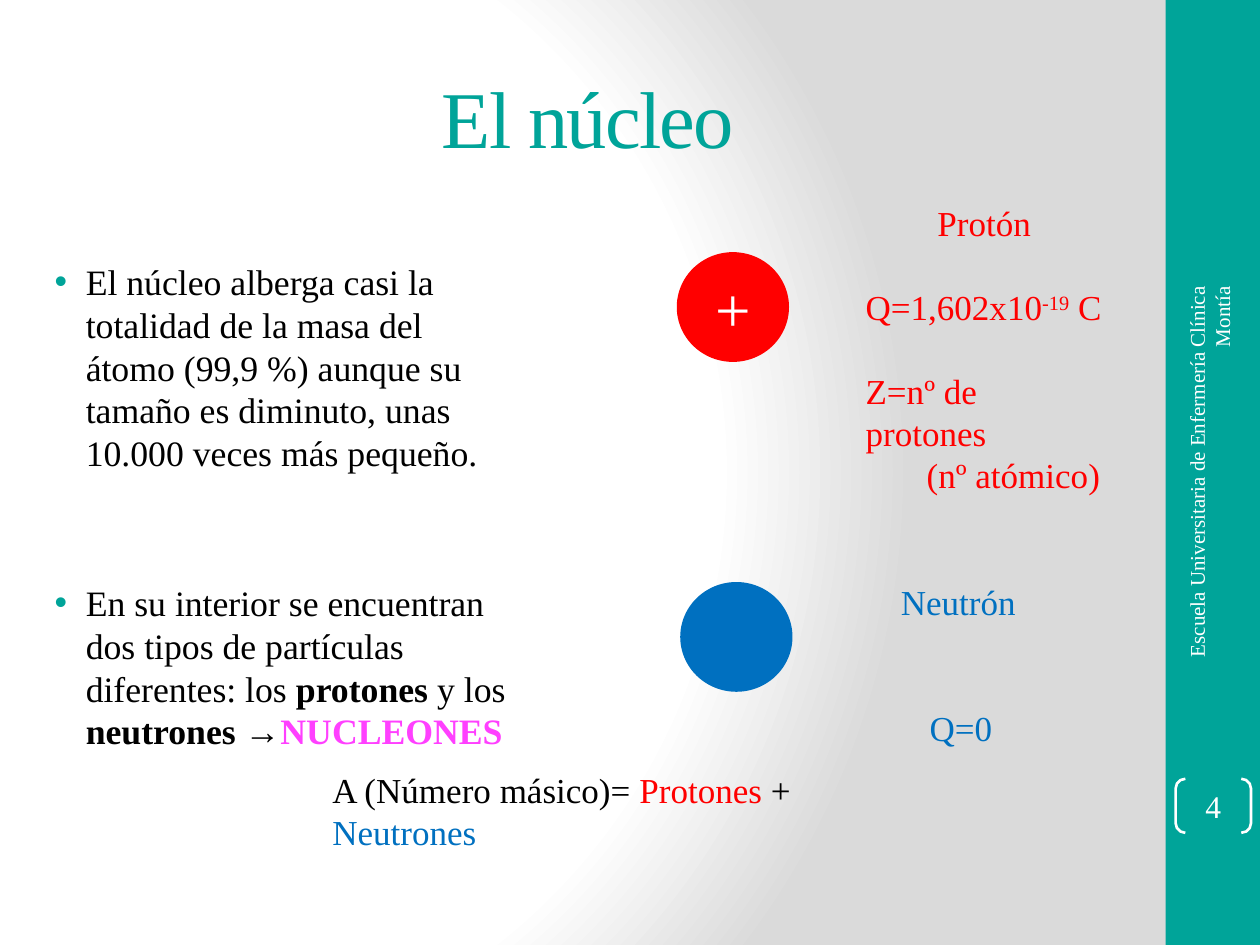
from lxml.etree import SubElement
from pptx import Presentation
from pptx.dml.color import RGBColor as RGB
from pptx.enum.shapes import MSO_SHAPE as SHAPE
from pptx.enum.text import MSO_ANCHOR as ANCHOR, PP_ALIGN as ALIGN
from pptx.oxml import parse_xml
from pptx.oxml.ns import nsdecls, qn
from pptx.util import Cm, Pt

THEME = {
    "font": "Times New Roman",
    "teal": "00A499", "red": "FF0000", "blue": "0070C0", "pink": "FF40FF",
    "black": "000000", "white": "FFFFFF", "gray": "DADADA",
    "title": 46, "body": 20.4, "label": 20, "plus": 36, "number": 18, "footer": 12,
    "line": 1.5,
}

TITLE = [{"runs": [("El núcleo", "teal")], "align": ALIGN.CENTER}]
BODY = [
    {"bullet": True, "runs": [
        ("El núcleo alberga casi la totalidad de la masa del átomo (99,9 %) "
         "aunque su tamaño es diminuto, unas 10.000 veces más pequeño.", "black")]},
    {"bullet": True, "before": 61, "runs": [
        ("En su interior se encuentran dos tipos de partículas diferentes: los ", "black"),
        ("protones", "black", "bold"),
        (" y los ", "black"),
        ("neutrones →", "black", "bold"),
        ("NUCLEONES", "pink", "bold")]},
]
PROTON = [
    {"runs": [("Protón", "red")], "align": ALIGN.CENTER},
    {"runs": [("Q=1,602x10", "red"), ("-19", "red", "super"), (" C", "red")], "before": 24},
    {"runs": [("Z=nº de protones", "red")], "before": 24},
    {"runs": [("(nº atómico)", "red")], "indent": 1.23},
]
NEUTRON = [
    {"runs": [("Neutrón", "blue")]},
    {"runs": [("Q=0", "blue")], "align": ALIGN.CENTER, "before": 48},
]
MASS = [{"runs": [("A (Número másico)= ", "black"), ("Protones", "red"),
                  (" + ", "black"), ("Neutrones", "blue")]}]
FOOTER = [{"runs": [("Escuela Universitaria de Enfermería Clínica Montía", "white")],
           "align": ALIGN.RIGHT}]
NUMBER = [{"runs": [("4", "white")], "align": ALIGN.CENTER}]
PLUS = [{"runs": [("+", "white")], "align": ALIGN.CENTER}]

TEXT_BOXES = [
    (BODY, "body", (0.53, 5.11, 10.16, 9.04)),
    (PROTON, "label", (17.2, 3.94, 5.28, 5.38)),
    (NEUTRON, "label", (17.91, 11.58, 2.92, 3.68)),
    (MASS, "label", (6.45, 15.37, 12.67, 1.12)),
]
PARTICLES = [("red", (13.67, 5.11, 2.21, 2.16), PLUS),
             ("blue", (13.74, 11.76, 2.21, 2.16), [])]


def color(name):
    return RGB.from_string(THEME[name])


def add_bullet(p):
    pPr = p._p.get_or_add_pPr()
    pPr.set("marL", str(Cm(0.95)))
    pPr.set("indent", str(Cm(-0.63)))
    SubElement(SubElement(pPr, qn("a:buClr")), qn("a:srgbClr")).set("val", THEME["teal"])
    SubElement(pPr, qn("a:buFont")).set("typeface", "Arial")
    SubElement(pPr, qn("a:buChar")).set("char", "•")


def write(tf, paragraphs, size, anchor=ANCHOR.TOP):
    tf.word_wrap = True
    tf.vertical_anchor = anchor
    for i, item in enumerate(paragraphs):
        p = tf.add_paragraph() if i else tf.paragraphs[0]
        if item.get("bullet"):
            add_bullet(p)
        if "indent" in item:
            p._p.get_or_add_pPr().set("marL", str(Cm(item["indent"])))
        p.alignment = item.get("align", ALIGN.LEFT)
        p.space_before = Pt(item.get("before", 0))
        for text, tint, *style in item["runs"]:
            r = p.add_run()
            r.text = text
            r.font.name = THEME["font"]
            r.font.size = Pt(THEME[size])
            r.font.color.rgb = color(tint)
            r.font.bold = "bold" in style
            if "super" in style:
                r._r.get_or_add_rPr().set("baseline", "30000")


def add_shape(s, kind, box, fill=None, line=None):
    sp = s.shapes.add_shape(kind, *map(Cm, box))
    sp.shadow.inherit = False
    if fill:
        sp.fill.solid()
        sp.fill.fore_color.rgb = color(fill)
    else:
        sp.fill.background()
    if line:
        sp.line.color.rgb = color(line)
        sp.line.width = Pt(THEME["line"])
    else:
        sp.line.fill.background()
    return sp


def set_background(s):
    stops = "".join(
        f'<a:gs pos="{pos * 1000}"><a:srgbClr val="{THEME[name]}"/></a:gs>'
        for pos, name in [(0, "white"), (75, "white"), (100, "gray")])
    s._element.cSld.insert(0, parse_xml(
        f'<p:bg {nsdecls("p", "a")}><p:bgPr><a:gradFill rotWithShape="1">'
        f'<a:gsLst>{stops}</a:gsLst><a:path path="circle">'
        '<a:fillToRect l="20000" t="50000" r="100000" b="50000"/></a:path>'
        '</a:gradFill><a:effectLst/></p:bgPr></p:bg>'))


def main():
    prs = Presentation()
    prs.slide_width, prs.slide_height = Cm(25.4), Cm(19.05)
    s = prs.slides.add_slide(prs.slide_layouts[5])
    set_background(s)

    title = s.shapes.title
    title.left, title.top, title.width, title.height = map(Cm, (1.27, 0.76, 21.16, 3.18))
    write(title.text_frame, TITLE, "title", ANCHOR.MIDDLE)
    title.text_frame.paragraphs[0].runs[0]._r.get_or_add_rPr().set("spc", "-100")

    add_shape(s, SHAPE.RECTANGLE, (23.5, 0, 1.9, 19.05), "teal")

    for paragraphs, size, box in TEXT_BOXES:
        write(s.shapes.add_textbox(*map(Cm, box)).text_frame, paragraphs, size)

    footer = s.shapes.add_textbox(*map(Cm, (19.61, 9.78, 9.53, 1.02)))
    footer.rotation = 270
    footer.text_frame.margin_left = Cm(0.8)
    write(footer.text_frame, FOOTER, "footer", ANCHOR.MIDDLE)

    number = add_shape(s, SHAPE.DOUBLE_BRACKET, (23.7, 15.7, 1.52, 1.09), line="white")
    number.adjustments[0] = 0.18
    tf = number.text_frame
    tf.margin_left = tf.margin_top = tf.margin_right = tf.margin_bottom = 0
    write(tf, NUMBER, "number", ANCHOR.MIDDLE)

    for tint, box, sign in PARTICLES:
        sp = add_shape(s, SHAPE.OVAL, box, tint, tint)
        write(sp.text_frame, sign, "plus", ANCHOR.MIDDLE)

    prs.save("out.pptx")


if __name__ == "__main__":
    main()
